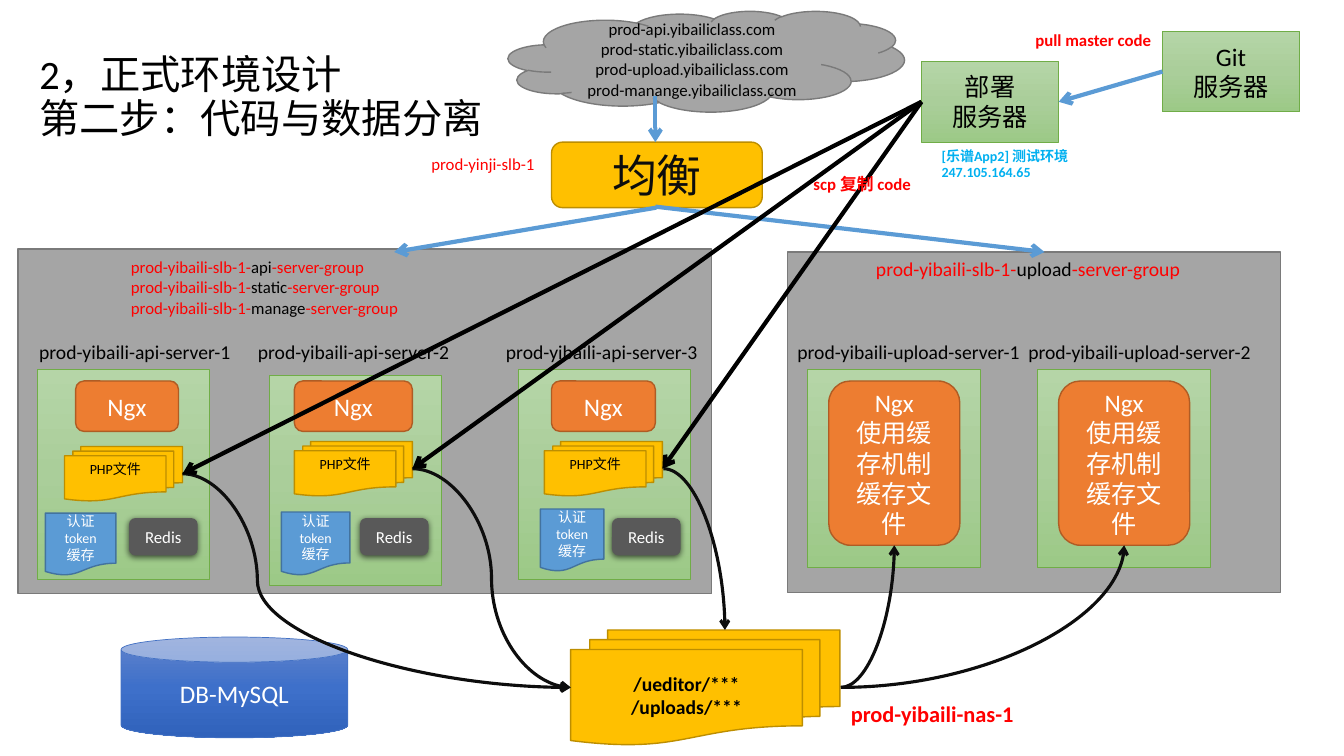
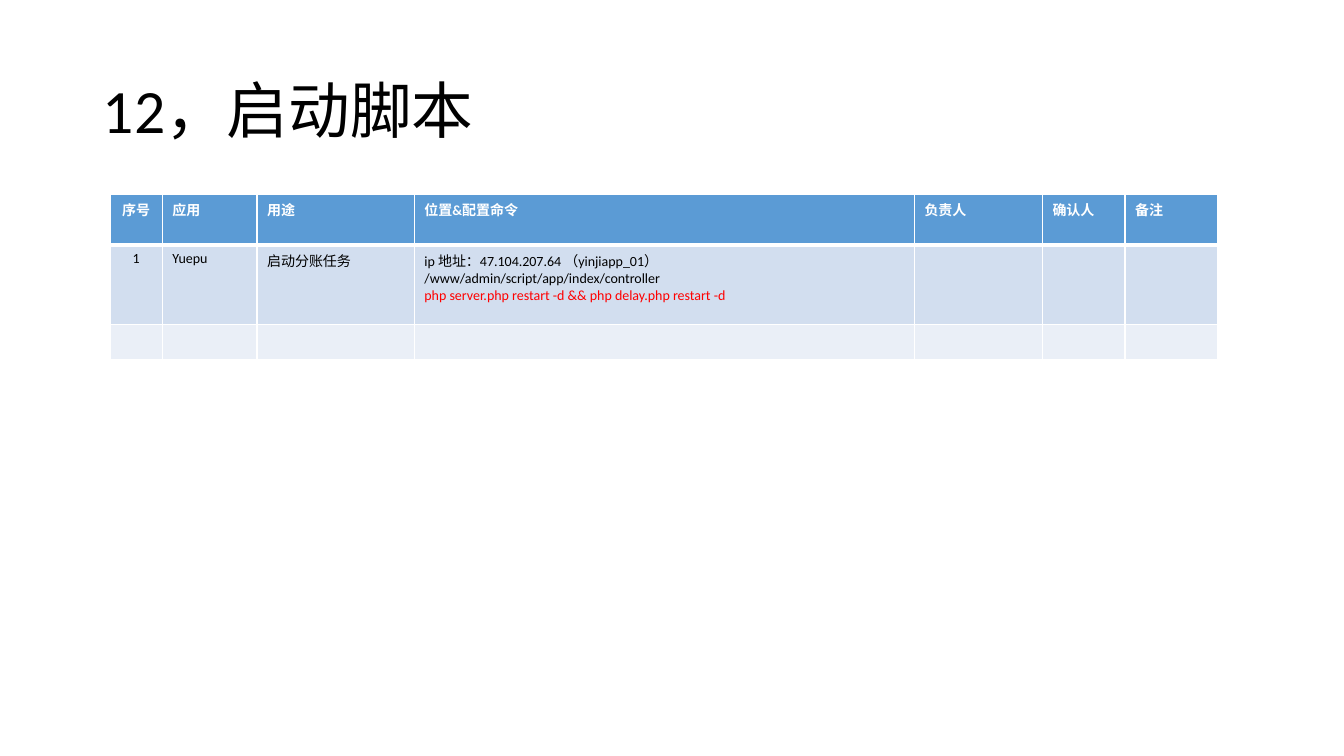
import lxml.etree
import pptx
import pptx.dml.color
import pptx.enum.dml
import pptx.enum.shapes
import pptx.enum.text
import pptx.oxml.ns
import pptx.util

PX = 9144
FONT = "Calibri"
COLORS = {
    "black": "000000", "ink": "0D0D0D", "white": "FFFFFF", "red": "FF0000",
    "sky": "00B0F0", "blue": "5B9BD5", "blue_edge": "43739E",
    "gray": "A5A5A5", "gray_edge": "7A7A7A", "dark": "595959",
    "gold": "FFC000", "gold_edge": "BD8E00",
    "orange": "ED7D31", "orange_edge": "AF5C24",
    "green_edge": "70AD47", "can_edge": "4472C4",
    "row_odd": "D2DEEF", "row_even": "EAEFF7",
}
GRADIENTS = {
    "green": ("B5D5A7", "AACE9A", "9CC987"),
    "can": ("6183CB", "3E70CA", "3062BB"),
}
KINDS = pptx.enum.shapes.MSO_SHAPE
STYLES = {
    "panel": (KINDS.RECTANGLE, "gray", "gray_edge", 1, 12, "black", False),
    "cloud": (KINDS.CLOUD, "gray", "gray_edge", 1, 12, "black", False),
    "balancer": (KINDS.ROUNDED_RECTANGLE, "gold", "gold_edge", 1, 32, "ink", False),
    "server": (KINDS.RECTANGLE, "green", "green_edge", 0.5, 18, "black", False),
    "nginx": (KINDS.ROUNDED_RECTANGLE, "orange", "orange_edge", 1, 18, "white", False),
    "php": (KINDS.FLOWCHART_MULTIDOCUMENT, "gold", "gold_edge", 1, 10, "black", False),
    "storage": (KINDS.FLOWCHART_MULTIDOCUMENT, "gold", "gold_edge", 1, 14, "black", True),
    "token": (KINDS.FLOWCHART_DOCUMENT, "blue", "blue_edge", 1, 10, "white", False),
    "redis": (KINDS.ROUNDED_RECTANGLE, "dark", None, 0, 12, "white", False),
    "database": (KINDS.CAN, "can", "can_edge", 0.5, 18, "white", False),
}

DESIGN_TITLE = ["2，正式环境设计", "第二步：代码与数据分离"]
SCRIPT_TITLE = ["12，启动脚本"]
DOMAINS = ["prod-api.yibailiclass.com", "prod-static.yibailiclass.com",
           "prod-upload.yibailiclass.com", "prod-manange.yibailiclass.com"]
API_SERVERS = [
    {"label": 29, "server": (37, 366), "nginx": (75, 102), "php": (64, 443),
     "token": (45, 509, 70, 62), "redis": 128},
    {"label": 246, "server": (267, 372), "nginx": (292, 117), "php": (292, 438),
     "token": (279, 508, 68, 63), "redis": 357},
    {"label": 492, "server": (514, 366), "nginx": (547, 103), "php": (540, 438),
     "token": (536, 505, 63, 62), "redis": 607},
]
UPLOAD_SERVERS = [(781, 801), (1010, 1029)]
MAIN_SHAPES = [
    ("panel", (18, 247, 688, 342), []),
    ("panel", (781, 250, 489, 338), []),
    ("cloud", (504, 11, 393, 100), DOMAINS),
    ("balancer", (547, 141, 209, 65), ["均衡"]),
    ("storage", (566, 625, 267, 114), ["/ueditor/***", "/uploads/***"]),
    ("database", (120, 632, 225, 100), ["DB-MySQL"]),
    ("server", (914, 61, 136, 80), ["部署", "服务器"]),
    ("server", (1153, 31, 136, 80), ["Git", "服务器"]),
]


def group_name(role):
    return [("prod-yibaili-slb-1-", "red"), (role, "black"), ("-server-group", "red")]


LABELS = [
    ((418, 148, 123, 50), [[("prod-yinji-slb-1", "red")]], 12, False, False),
    ((120, 250, 542, 91), [group_name(role) for role in ("api", "static", "manage")], 12, False, True),
    ((859, 250, 354, 34), [group_name("upload")], 14, False, True),
    ((834, 690, 182, 37), [[("prod-yibaili-nas-1", "red")]], 16, True, False),
    ((1017, 25, 135, 30), [[("pull master code", "red")]], 12, True, False),
    ((797, 167, 117, 50), [[("scp 复制 code", "red")]], 12, True, True),
    ((924, 141, 151, 44), [[("[乐谱App2] 测试环境 247.105.164.65", "sky")]], 10, True, True),
]
FLOW_ARROWS = [(650, 95, 650, 141), (651, 206, 391, 250),
               (650, 205, 1036, 250), (1153, 71, 1050, 101)]
DEPLOY_START = (914, 101)
PHP_SIZE = (117, 54)
CURVES = [
    ((181, 470, 566, 682), "curvedConnector3", 19300),
    ((409, 465, 566, 682), "curvedConnector3", 50000),
    ((658, 465, 719, 625), "curvedConnector2", None),
    ((834, 682, 887, 541), "curvedConnector2", None),
    ((834, 682, 1115, 541), "curvedConnector2", None),
]

TABLE_COLUMNS = [52, 94, 156, 496, 127, 82, 92]
TABLE_ROWS = [50, 79, 35]
TABLE_FILLS = ["blue", "row_odd", "row_even"]
TABLE_CELLS = [
    [["序号"], ["应用"], ["用途"], ["位置&配置命令"], ["负责人"], ["确认人"], ["备注"]],
    [["1"], ["Yuepu"], ["启动分账任务"],
     ["ip 地址：47.104.207.64 （yinjiapp_01）",
      "/www/admin/script/app/index/controller",
      "php server.php restart -d && php delay.php restart -d"], [], [], []],
    [[] for column in TABLE_COLUMNS],
]


def emu(*lengths):
    return [length * PX for length in lengths]


def rgb(name):
    return pptx.dml.color.RGBColor.from_string(COLORS[name])


def sub(parent, tag, **attributes):
    return lxml.etree.SubElement(parent, pptx.oxml.ns.qn(tag), attributes)


def write(frame, paragraphs, size, bold=False, align=None):
    for index, spans in enumerate(paragraphs):
        para = frame.paragraphs[0] if index == 0 else frame.add_paragraph()
        para.alignment = align
        for text, color in spans:
            add_span(para, text, size, color, bold)


def add_span(para, text, size, color, bold=False):
    span = para.add_run()
    span.text = text
    span.font.name = FONT
    span.font.size = pptx.util.Pt(size)
    span.font.bold = bold
    span.font.color.rgb = rgb(color)


def add_page(deck, title_lines, box, size):
    page = deck.slides.add_slide(deck.slide_layouts[5])
    title = page.shapes.title
    title.left, title.top, title.width, title.height = emu(*box)
    frame = title.text_frame
    frame.word_wrap = True
    frame.auto_size = pptx.enum.text.MSO_AUTO_SIZE.NONE
    frame.vertical_anchor = pptx.enum.text.MSO_ANCHOR.MIDDLE
    para = frame.paragraphs[0]
    para.alignment = pptx.enum.text.PP_ALIGN.LEFT
    para.line_spacing = 0.9
    for index, line in enumerate(title_lines):
        if index:
            para.add_line_break()
        add_span(para, line, size, "black")
    return page


def fill_gradient(shape, stops):
    shape.fill.gradient()
    shape.fill.gradient_angle = 270
    stop_list = shape._element.spPr.find(".//" + pptx.oxml.ns.qn("a:gsLst"))
    for stop in list(stop_list):
        stop_list.remove(stop)
    for index, value in enumerate(stops):
        sub(sub(stop_list, "a:gs", pos=str(index * 50000)), "a:srgbClr", val=value)


def add_box(page, style, box, lines=()):
    kind, fill, edge, weight, size, color, bold = STYLES[style]
    shape = page.shapes.add_shape(kind, *emu(*box))
    shape.shadow.inherit = False
    if fill in GRADIENTS:
        fill_gradient(shape, GRADIENTS[fill])
    else:
        shape.fill.solid()
        shape.fill.fore_color.rgb = rgb(fill)
    if edge:
        shape.line.color.rgb = rgb(edge)
        shape.line.width = pptx.util.Pt(weight)
    else:
        shape.line.fill.background()
    frame = shape.text_frame
    frame.word_wrap = True
    frame.vertical_anchor = pptx.enum.text.MSO_ANCHOR.MIDDLE
    write(frame, [[(line, color)] for line in lines], size, bold, pptx.enum.text.PP_ALIGN.CENTER)
    return shape


def add_label(page, box, paragraphs, size, bold=False, wrap=True):
    label = page.shapes.add_textbox(*emu(*box))
    label.text_frame.word_wrap = wrap
    label.text_frame.auto_size = pptx.enum.text.MSO_AUTO_SIZE.SHAPE_TO_FIT_TEXT
    write(label.text_frame, paragraphs, size, bold)


def add_arrow(page, ends, color, weight, preset=None, bend=None):
    kinds = pptx.enum.shapes.MSO_CONNECTOR
    arrow = page.shapes.add_connector(kinds.CURVE if preset else kinds.STRAIGHT, *emu(*ends))
    arrow.line.color.rgb = rgb(color)
    arrow.line.width = pptx.util.Pt(weight)
    properties = arrow._element.spPr
    sub(arrow.line._get_or_add_ln(), "a:tailEnd", type="arrow")
    sub(properties, "a:effectLst")
    if preset:
        geometry = properties.find(pptx.oxml.ns.qn("a:prstGeom"))
        geometry.set("prst", preset)
        if bend:
            adjustments = geometry.find(pptx.oxml.ns.qn("a:avLst"))
            if adjustments is None:
                adjustments = sub(geometry, "a:avLst")
            sub(adjustments, "a:gd", name="adj1", fmla=f"val {bend}")


def add_redis(page, left):
    redis = add_box(page, "redis", (left, 514, 68, 37), ["Redis"])
    effects = redis._element.spPr.find(pptx.oxml.ns.qn("a:effectLst"))
    shadow = sub(effects, "a:outerShdw", blurRad=str(pptx.util.Pt(4.5)),
                 dist=str(pptx.util.Pt(1.5)), dir="5400000", algn="ctr", rotWithShape="0")
    sub(sub(shadow, "a:srgbClr", val=COLORS["black"]), "a:alpha", val="63000")


def add_api_server(page, number, server):
    add_box(page, "server", (*server["server"], 171, 209))
    left, width = server["nginx"]
    add_box(page, "nginx", (left, 378, width, 50), ["Ngx"])
    add_label(page, (server["label"], 332, 213, 34),
              [[(f"prod-yibaili-api-server-{number}", "black")]], 14)
    php = add_box(page, "php", (*server["php"], *PHP_SIZE), ["PHP文件"])
    php.text_frame.margin_top, php.text_frame.margin_bottom = emu(0, 16)
    add_box(page, "token", server["token"], ["认证token", "缓存"])
    add_redis(page, server["redis"])


def add_upload_server(page, number, label_left, left):
    add_box(page, "server", (left, 366, 171, 197))
    add_box(page, "nginx", (left + 21, 378, 130, 163), ["Ngx", "使用缓存机制缓存文件"])
    add_label(page, (label_left, 332, 249, 34),
              [[(f"prod-yibaili-upload-server-{number}", "black")]], 14)


def build_design(deck):
    page = add_page(deck, DESIGN_TITLE, (29, 25, 475, 145), 28.8)
    for style, box, lines in MAIN_SHAPES:
        add_box(page, style, box, lines)
    for number, server in enumerate(API_SERVERS, 1):
        add_api_server(page, number, server)
    for number, (label_left, left) in enumerate(UPLOAD_SERVERS, 1):
        add_upload_server(page, number, label_left, left)
    for ends in FLOW_ARROWS:
        add_arrow(page, ends, "blue", 3)
    for ends, preset, bend in CURVES:
        add_arrow(page, ends, "ink", 2.25, preset, bend)
    for server in API_SERVERS:
        left, top = server["php"]
        target = (left + PHP_SIZE[0], top + PHP_SIZE[1] // 2)
        add_arrow(page, (*DEPLOY_START, *target), "black", 3)
    for label in LABELS:
        add_label(page, *label)


def format_cell(cell, lines, row, column):
    properties = cell._tc.get_or_add_tcPr()
    for side in ("L", "R", "T", "B"):
        heavy = (row == 0 and side == "B") or (row == 1 and side == "T")
        border = sub(properties, f"a:ln{side}", w=str(pptx.util.Pt(3 if heavy else 1)))
        sub(sub(border, "a:solidFill"), "a:srgbClr", val=COLORS["white"])
    cell.fill.solid()
    cell.fill.fore_color.rgb = rgb(TABLE_FILLS[row])
    color = "white" if row == 0 else "black"
    align = pptx.enum.text.PP_ALIGN.CENTER if column == 0 else None
    paragraphs = [[(line, "red" if line.startswith("php ") else color)] for line in lines]
    write(cell.text_frame, paragraphs, 10, row == 0, align)
    if not lines:
        sub(cell.text_frame.paragraphs[0]._p, "a:endParaRPr", sz="1000")


def build_scripts(deck):
    page = add_page(deck, SCRIPT_TITLE, (92, 40, 1150, 145), 44)
    box = (109, 193, sum(TABLE_COLUMNS), sum(TABLE_ROWS))
    table = page.shapes.add_table(len(TABLE_ROWS), len(TABLE_COLUMNS), *emu(*box)).table
    for column, width in zip(table.columns, emu(*TABLE_COLUMNS)):
        column.width = width
    for row, height in zip(table.rows, emu(*TABLE_ROWS)):
        row.height = height
    for row, cells in enumerate(TABLE_CELLS):
        for column, lines in enumerate(cells):
            format_cell(table.cell(row, column), lines, row, column)


def main():
    deck = pptx.Presentation()
    deck.slide_width, deck.slide_height = emu(1333, 750)
    build_design(deck)
    build_scripts(deck)
    deck.save("out.pptx")


if __name__ == "__main__":
    main()
